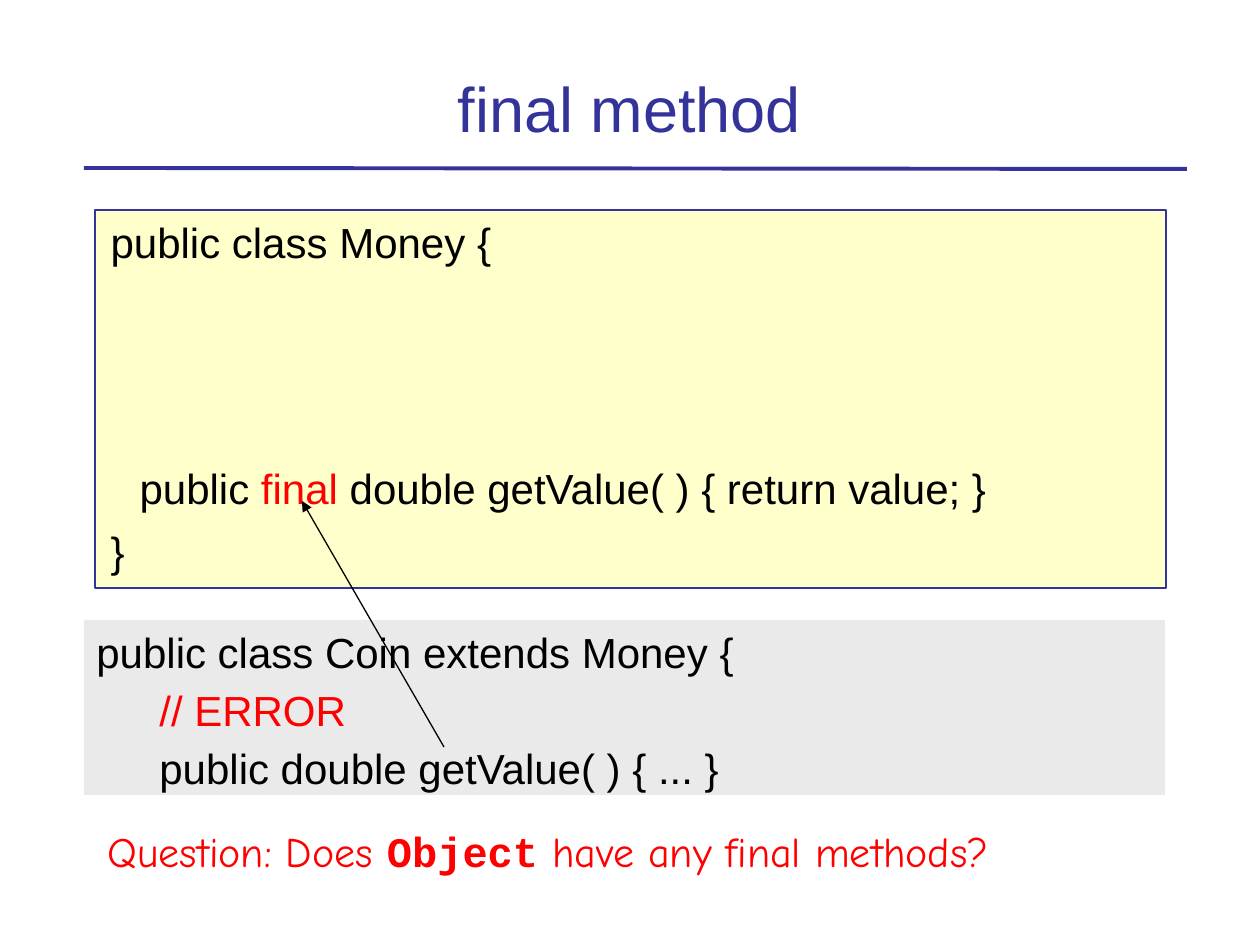
from lxml.etree import SubElement
from pptx import Presentation
from pptx.dml.color import RGBColor
from pptx.enum.shapes import MSO_CONNECTOR as CONN, MSO_SHAPE as SHAPE
from pptx.enum.text import MSO_ANCHOR as ANCHOR, MSO_AUTO_SIZE as FIT, PP_ALIGN as ALIGN
from pptx.oxml.ns import qn
from pptx.util import Pt

PX = 914400 // 126
NAVY = RGBColor(0x33, 0x33, 0x99)
CREAM = RGBColor(0xFF, 0xFF, 0xCC)
GREY = RGBColor(0xEA, 0xEA, 0xEA)
RED = RGBColor(0xFF, 0, 0)
BLACK = RGBColor(0, 0, 0)


class Deck:
    """Holds the text style and the current slide, and adds its elements."""

    font = "Arial"
    size = 24

    def __init__(self, prs):
        self.slide = prs.slides.add_slide(prs.slide_layouts[1])

    def place(self, sp, box):
        sp.left, sp.top, sp.width, sp.height = (v * PX for v in box)

    def frame(self, sp, anchor=ANCHOR.TOP):
        tf = sp.text_frame
        tf.word_wrap = True
        tf.auto_size = FIT.NONE
        tf.vertical_anchor = anchor
        return tf

    def add_run(self, p, text, color=BLACK, font=None, bold=False, size=None):
        r = p.add_run()
        r.text = text
        r.font.name = font or self.font
        r.font.size = Pt(size or self.size)
        r.font.bold = bold
        r.font.color.rgb = color

    def add_lines(self, tf, lines, gaps, margin=0, indent=0, tab=None):
        for i, (line, gap) in enumerate(zip(lines, gaps)):
            p = tf.paragraphs[0] if i == 0 else tf.add_paragraph()
            p.alignment = ALIGN.LEFT
            p.space_before = Pt(gap)
            pPr = p._p.get_or_add_pPr()
            pPr.set("marL", str(margin * PX))
            pPr.set("indent", str(indent * PX))
            SubElement(pPr, qn("a:buNone"))
            if tab:
                tabs = SubElement(pPr, qn("a:tabLst"))
                SubElement(tabs, qn("a:tab"), pos=str(tab * PX), algn="l")
            for part in line:
                self.add_run(p, *part)

    def title(self, text, box):
        sp = self.slide.shapes.title
        self.place(sp, box)
        p = self.frame(sp, ANCHOR.BOTTOM).paragraphs[0]
        p.alignment = ALIGN.CENTER
        self.add_run(p, text, NAVY, size=36)

    def body(self, lines, box, gaps, **layout):
        sp = self.slide.placeholders[1]
        self.place(sp, box)
        sp.fill.solid()
        sp.fill.fore_color.rgb = CREAM
        sp.line.color.rgb = NAVY
        sp.line.width = Pt(0.75)
        self.add_lines(self.frame(sp), lines, gaps, **layout)

    def panel(self, lines, box, gaps, **layout):
        sp = self.slide.shapes.add_shape(SHAPE.RECTANGLE, *(v * PX for v in box))
        sp.shadow.inherit = False
        sp.fill.solid()
        sp.fill.fore_color.rgb = GREY
        sp.line.fill.background()
        self.add_lines(self.frame(sp), lines, gaps, **layout)

    def text(self, line, box):
        sp = self.slide.shapes.add_textbox(*(v * PX for v in box))
        self.add_lines(self.frame(sp), [line], [0])

    def line(self, start, end, color, width, arrow=False):
        ends = (v * PX for v in start + end)
        sp = self.slide.shapes.add_connector(CONN.STRAIGHT, *ends)
        sp.line.color.rgb = color
        sp.line.width = Pt(width)
        if arrow:
            SubElement(sp.get_or_add_ln(), qn("a:tailEnd"), type="triangle")
        SubElement(sp._element.spPr, qn("a:effectLst"))


def main():
    prs = Presentation()
    prs.slide_width, prs.slide_height = 1260 * PX, 945 * PX
    deck = Deck(prs)
    deck.line((84, 168), (1187, 169), NAVY, 2.25)
    deck.title("final method", (84, 32, 1091, 119))
    deck.body(
        [
            [("public class Money {",)],
            [("\tpublic ",), ("final", RED), (" double getValue( ) { return value; }",)],
            [("}",)],
        ],
        (95, 210, 1071, 378), (0, 112, 7.25), margin=32, indent=-29,
    )
    deck.panel(
        [
            [("public class Coin extends Money {",)],
            [("\t",), ("// ERROR", RED)],
            [("\tpublic double getValue( ) { ... }",)],
        ],
        (84, 620, 1081, 175), (0, 4.4, 4.4), tab=49,
    )
    deck.line((444, 747), (302, 501), BLACK, 0.75, arrow=True)
    deck.text(
        [
            ("Question: Does ", RED, "Comic Neue"),
            ("Object", RED, "Courier New", True),
            (" have any final methods?", RED, "Comic Neue"),
        ],
        (95, 819, 1061, 63),
    )
    prs.save("out.pptx")


if __name__ == "__main__":
    main()
